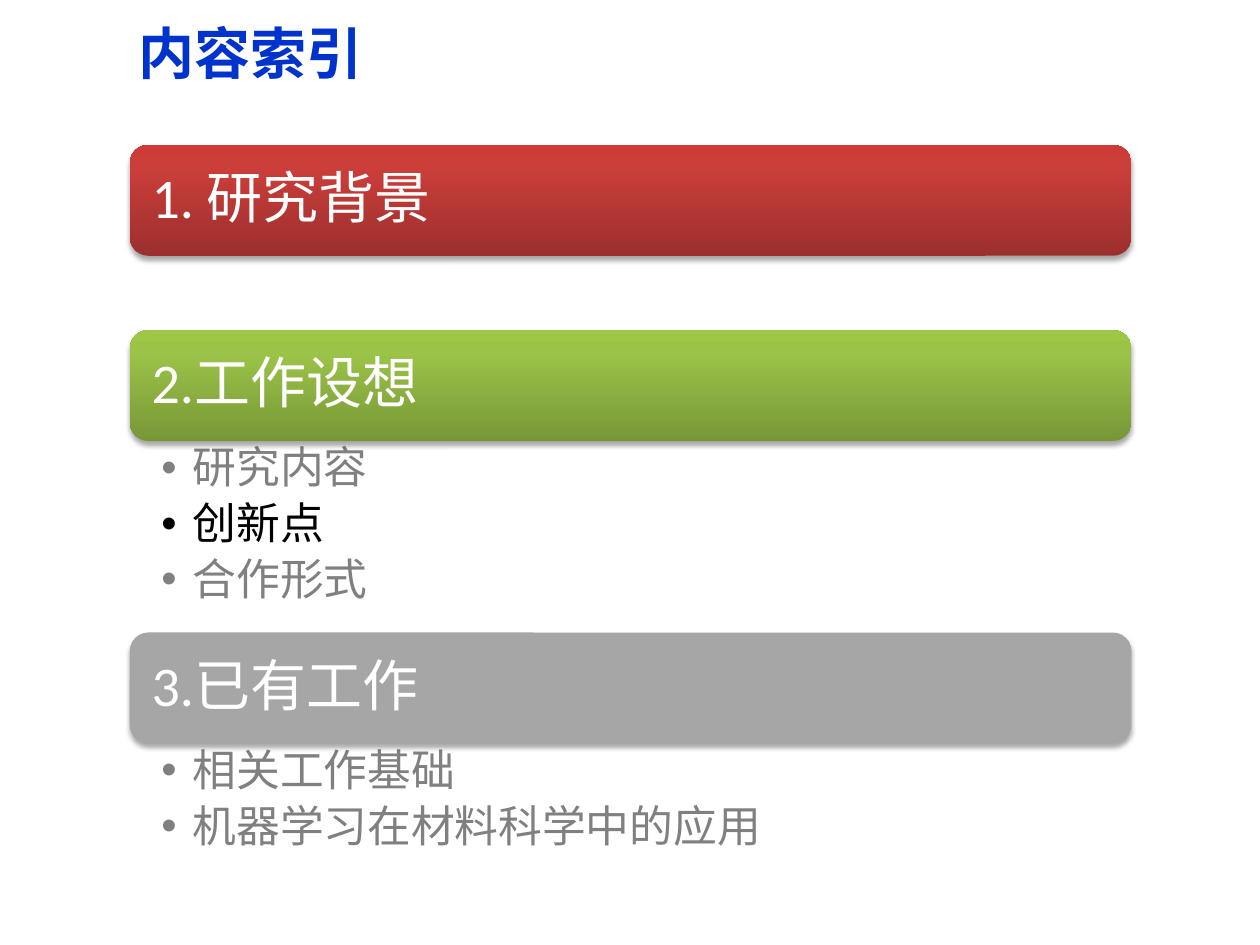
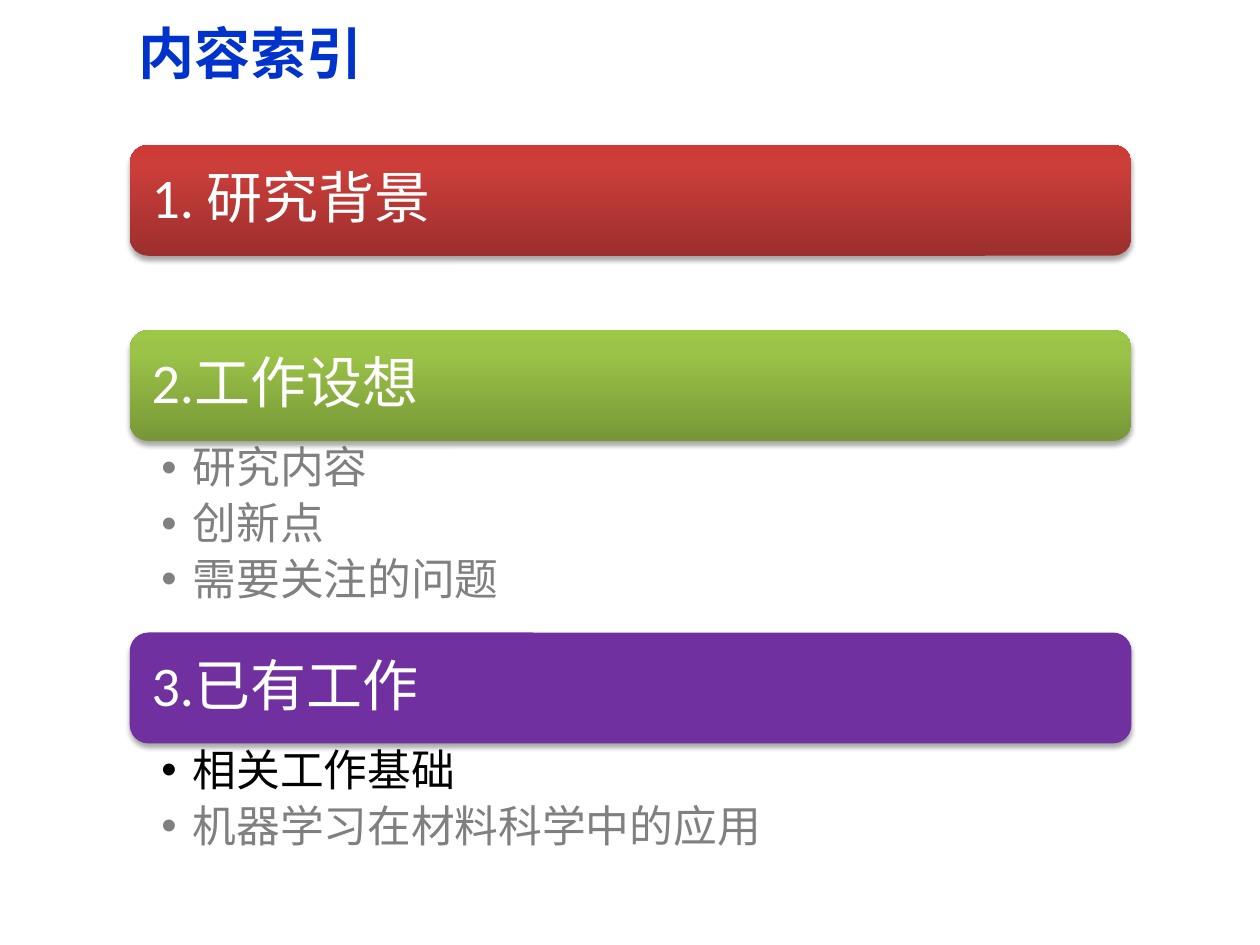
"""Builds two agenda slides with coloured section bars and topic lists."""
from lxml import etree
from pptx import Presentation
from pptx.dml.color import RGBColor
from pptx.enum.shapes import MSO_SHAPE
from pptx.enum.text import MSO_ANCHOR, MSO_AUTO_SIZE, PP_ALIGN
from pptx.oxml.ns import qn
from pptx.util import Inches, Pt

ROUNDED = MSO_SHAPE.ROUNDED_RECTANGLE
TOP, MIDDLE = MSO_ANCHOR.TOP, MSO_ANCHOR.MIDDLE
LEFT = PP_ALIGN.LEFT
NO_FIT = MSO_AUTO_SIZE.NONE

COLORS = {
    "title": "0033CC", "bar_text": "FFFFFF", "topic": "808080",
    "current": "000000", "shadow": "000000",
}
BAR_FILLS = {
    "red": [(0, "9C2F2D"), (80, "CB3E3A"), (100, "CE3B37")],
    "green": [(0, "779737"), (80, "9BC348"), (100, "9DC746")],
    "grey": "A6A6A6",
    "purple": "7030A0",
}
LATIN, CJK = "Calibri", "Noto Sans CJK SC"

TITLE = "内容索引"
BACKGROUND = ("1. 研究背景", "red", [])
FOUNDATION = ["相关工作基础", "机器学习在材料科学中的应用"]
AGENDAS = [
    {"current": "创新点", "sections": [
        BACKGROUND,
        ("2.工作设想", "green", ["研究内容", "创新点", "合作形式"]),
        ("3.已有工作", "grey", FOUNDATION)]},
    {"current": "相关工作基础", "sections": [
        BACKGROUND,
        ("2.工作设想", "green", ["研究内容", "创新点", "需要关注的问题"]),
        ("3.已有工作", "purple", FOUNDATION)]},
]

BAR_LEFT, BAR_TOP, BAR_WIDTH, BAR_HEIGHT = 1.03, 1.15, 7.95, 0.88
LIST_HEIGHTS = {0: 0.59, 2: 1.0, 3: 1.52}


def add_element(parent, tag, **attributes):
    return etree.SubElement(parent, qn(tag), attributes)


def write(paragraph, text, size, color, latin=LATIN, bold=False, after=0,
          spacing=1.0, bullet=False):
    paragraph.alignment = LEFT
    paragraph.line_spacing = spacing
    paragraph.space_before = paragraph.space_after = Pt(0)
    properties = paragraph._p.get_or_add_pPr()
    if after:
        space_after = properties.find(qn("a:spcAft"))
        space_after.clear()
        add_element(space_after, "a:spcPct", val=str(after * 1000))
    if bullet:
        properties.set("marL", str(Inches(0.25)))
        properties.set("indent", str(Inches(-0.25)))
        add_element(properties, "a:buFont", typeface="Arial")
        add_element(properties, "a:buChar", char="•")
    run = paragraph.add_run()
    run.text = text
    run.font.size, run.font.bold, run.font.name = Pt(size), bold, latin
    run.font.color.rgb = RGBColor.from_string(color)
    run.font._element.find(qn("a:latin")).addnext(
        etree.Element(qn("a:ea"), typeface=CJK))


def set_frame(shape, box, margin_x, margin_y, anchor):
    shape.left, shape.top, shape.width, shape.height = map(Inches, box)
    frame = shape.text_frame
    frame.word_wrap, frame.auto_size = True, NO_FIT
    frame.vertical_anchor = anchor
    frame.margin_left = frame.margin_right = Inches(margin_x)
    frame.margin_top = frame.margin_bottom = Inches(margin_y)
    return frame


def paint_bar(bar, fill):
    properties = bar._element.spPr
    if isinstance(fill, str):
        bar.fill.solid()
        bar.fill.fore_color.rgb = RGBColor.from_string(fill)
    else:
        bar.fill.gradient()
        bar.fill.gradient_angle = 90
        stops = properties.find(".//" + qn("a:gsLst"))
        stops.clear()
        for position, color in fill:
            stop = add_element(stops, "a:gs", pos=str(position * 1000))
            add_element(stop, "a:srgbClr", val=color)
    bar.line.fill.background()
    bar.shadow.inherit = False
    shadow = add_element(
        properties.find(qn("a:effectLst")), "a:outerShdw",
        blurRad=str(Pt(3.1)), dist=str(Pt(1.8)), dir="5400000", rotWithShape="0")
    shade = add_element(shadow, "a:srgbClr", val=COLORS["shadow"])
    add_element(shade, "a:alpha", val="35000")


def add_bar(slide, heading, fill, top):
    box = (BAR_LEFT, top, BAR_WIDTH, BAR_HEIGHT)
    bar = slide.shapes.add_shape(ROUNDED, *map(Inches, box))
    paint_bar(bar, fill)
    frame = set_frame(bar, box, 0.13, 0.13, MIDDLE)
    write(frame.paragraphs[0], heading, 32, COLORS["bar_text"],
          spacing=0.9, after=35)


def fill_topics(holder, topics, current, top, height):
    frame = set_frame(holder, (BAR_LEFT, top, BAR_WIDTH, height), 0.25, 0.04, TOP)
    for index, topic in enumerate(topics):
        paragraph = frame.add_paragraph() if index else frame.paragraphs[0]
        color = COLORS["current" if topic == current else "topic"]
        write(paragraph, topic, 25, color, spacing=0.9, after=20, bullet=True)


def add_agenda(deck, current, sections):
    slide = deck.slides.add_slide(deck.slide_layouts.get_by_name("Two Content"))
    title, *topic_holders = slide.placeholders
    frame = set_frame(title, (1, -0.02, 9, 0.87), 0.1, 0.05, MIDDLE)
    write(frame.paragraphs[0], TITLE, 32, COLORS["title"], latin=CJK, bold=True)
    holders = iter(topic_holders)
    top = BAR_TOP
    for heading, fill, topics in sections:
        add_bar(slide, heading, BAR_FILLS[fill], top)
        top += BAR_HEIGHT
        height = LIST_HEIGHTS[len(topics)]
        if topics:
            fill_topics(next(holders), topics, current, top, height)
        top += height


def main():
    deck = Presentation()
    deck.slide_width, deck.slide_height = Inches(10), Inches(7.5)
    for agenda in AGENDAS:
        add_agenda(deck, **agenda)
    deck.save("out.pptx")


if __name__ == "__main__":
    main()
